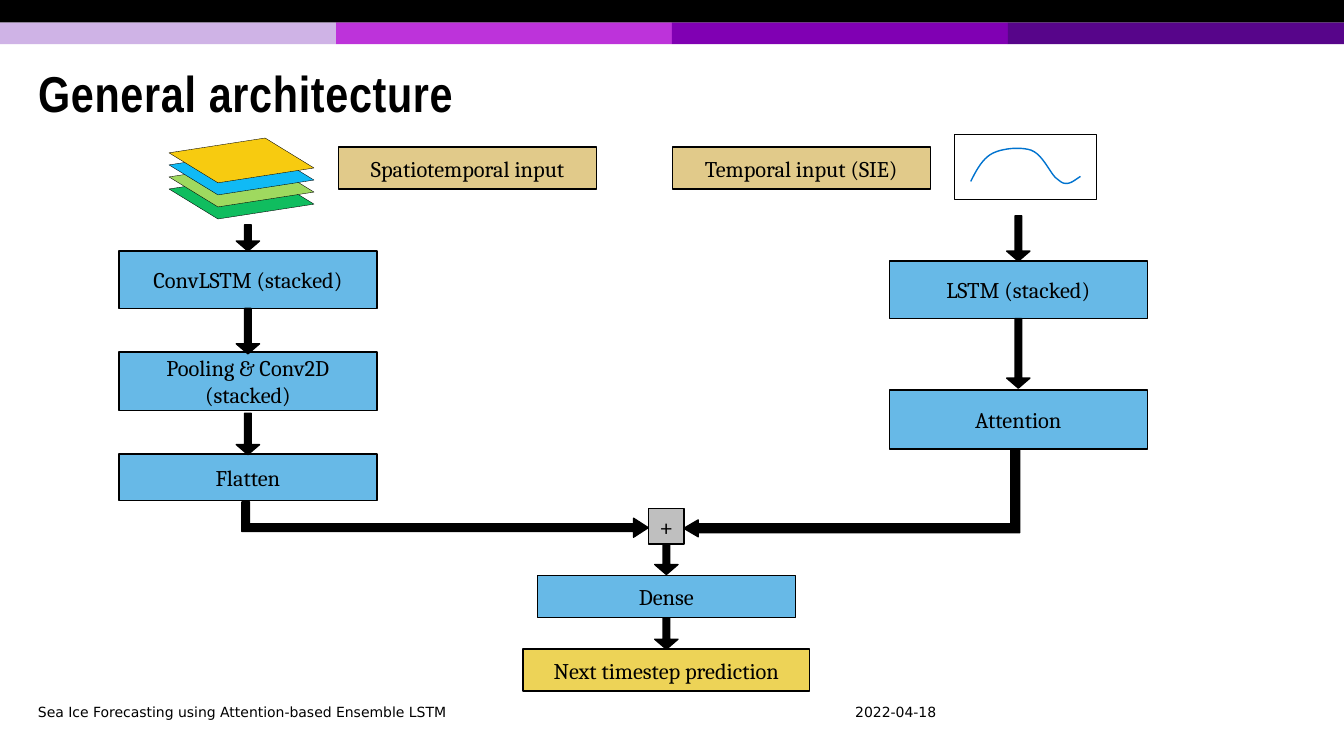
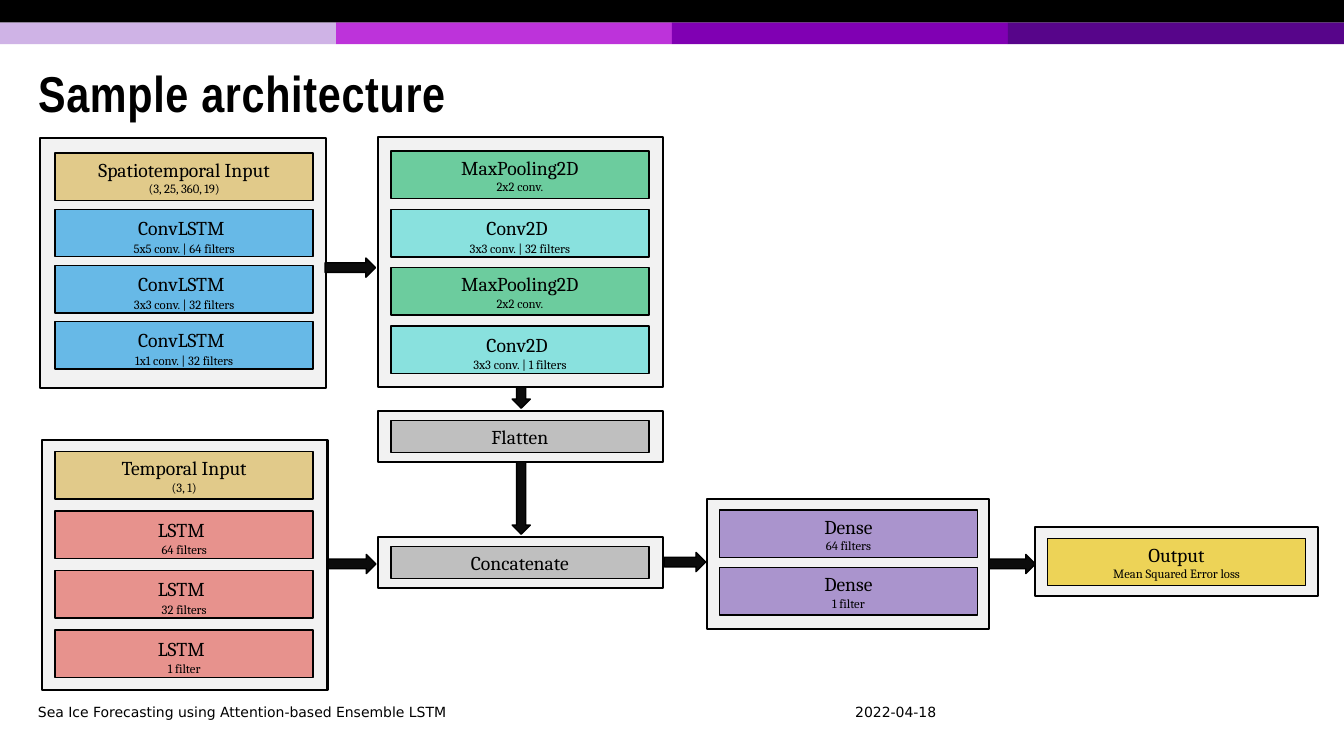
from pptx import Presentation
from pptx.dml.color import RGBColor as RGB
from pptx.enum.shapes import MSO_SHAPE as SHAPE
from pptx.enum.text import MSO_ANCHOR as ANCHOR, MSO_AUTO_SIZE as AUTO, PP_ALIGN as ALIGN
from pptx.oxml.ns import qn
from pptx.util import Pt

HUES = {
    "black": "000000", "ink": "0C0C0C", "white": "FFFFFF", "panel": "F2F2F2",
    "lilac": "CFB3E6", "pink": "BD33DA", "purple": "8000B3", "plum": "57058A",
    "blue": "67B9E7", "tan": "E1CA8A", "yellow": "EDD357", "gray": "BFBFBF",
    "green": "6CCC9E", "aqua": "89E1DE", "red": "E7928D", "violet": "AA94CD",
    "curve": "0073CF", "leaf": "10BD5F", "lime": "9FD95F", "sky": "10BAF5",
    "gold": "F7CB10",
}
FONTS = {
    "title": {"name": "Arial Narrow", "size": Pt(36), "bold": True},
    "foot": {"name": "DejaVu Sans", "size": Pt(10)},
    "box": {"name": "Cambria", "size": Pt(16)},
    "plus": {"name": "Cambria", "size": Pt(18)},
    "head": {"name": "Cambria", "size": Pt(14)},
    "note": {"name": "Cambria", "size": Pt(9)},
}
WIDE, HIGH = 960, 540
BOX_W, ROW_H = 184.3, 33.9


def hue(name):
    return RGB.from_string(HUES[name])


def apply(item, form):
    for key, value in form.items():
        setattr(item, key, value)


def bezier(start, curves, count=10):
    """Yield points along a chain of cubic curves."""
    for a, b, end in curves:
        for n in range(1, count + 1):
            t = n / count
            u = 1 - t
            yield tuple(u**3 * p + 3 * u * u * t * q + 3 * u * t * t * r + t**3 * s
                        for p, q, r, s in zip(start, a, b, end))
        start = end


class Deck:
    def __init__(self):
        self.prs = Presentation()
        apply(self.prs, {"slide_width": Pt(WIDE), "slide_height": Pt(HIGH)})
        self.plan = self.prs.slide_layouts[5]
        self.slide = None

    def page(self, title):
        self.slide = self.prs.slides.add_slide(self.plan)
        if len(self.prs.slides) == 1:
            self.bands()
        head = self.slide.shapes.title
        apply(head, {"left": Pt(20), "top": Pt(34), "width": Pt(911), "height": Pt(70.5)})
        apply(head.text_frame, {"auto_size": AUTO.NONE, "vertical_anchor": ANCHOR.MIDDLE})
        par = head.text_frame.paragraphs[0]
        apply(par, {"alignment": ALIGN.LEFT, "line_spacing": 0.85})
        self.run(par, title, "title").font._element.set("spc", "50")
        self.label(20, 412, "Sea Ice Forecasting using Attention-based Ensemble LSTM", ALIGN.LEFT)
        self.label(593.3, 93, "2022-04-18", ALIGN.CENTER)

    def bands(self):
        """Put the top bands on the layout, so that every slide shows them."""
        width = WIDE / 4
        bars = [self.shape(SHAPE.RECTANGLE, i * width, 16, width, 15.5, name, None)
                for i, name in enumerate(("lilac", "pink", "purple", "plum"))]
        bars.append(self.shape(SHAPE.RECTANGLE, 0, 0, WIDE, 16, "black", None))
        for i, bar in enumerate(bars):
            bar.element.nvSpPr.cNvPr.set("id", str(100 + i))
            self.plan.shapes.element.insert(2 + i, bar.element)

    def run(self, par, text, font):
        run = par.add_run()
        run.text = text
        apply(run.font, FONTS[font])
        run.font.color.rgb = hue("black")
        return run

    def label(self, x, w, text, align):
        frame = self.slide.shapes.add_textbox(Pt(x), Pt(499), Pt(w), Pt(19.4)).text_frame
        apply(frame, {"word_wrap": True, "vertical_anchor": ANCHOR.MIDDLE})
        frame.paragraphs[0].alignment = align
        self.run(frame.paragraphs[0], text, "foot")

    def paint(self, shape, fill, line=1, edge="black"):
        shape.shadow.inherit = False
        if fill:
            shape.fill.solid()
            shape.fill.fore_color.rgb = hue(fill)
        else:
            shape.fill.background()
        if line:
            shape.line.width = Pt(line)
            shape.line.color.rgb = hue(edge)
        else:
            shape.line.fill.background()
        return shape

    def shape(self, kind, x, y, w, h, fill, line=1):
        form = self.slide.shapes.add_shape(kind, Pt(x), Pt(y), Pt(w), Pt(h))
        return self.paint(form, fill, line)

    def box(self, x, y, w, h, fill, lines, fonts=("box", "box"), tall=False):
        """Draw a box with text; tall gives its first line more height."""
        frame = self.shape(SHAPE.RECTANGLE, x, y, w, h, fill).text_frame
        apply(frame, {"word_wrap": True, "vertical_anchor": ANCHOR.MIDDLE})
        for i, (text, font) in enumerate(zip(lines, fonts)):
            par = frame.add_paragraph() if i else frame.paragraphs[0]
            par.alignment = ALIGN.CENTER
            self.run(par, text, font)
            if tall and i == 0:
                self.run(par, " ", "plus")

    def panel(self, x, y, w, h, top, step, rows, left=13, high=ROW_H):
        self.shape(SHAPE.RECTANGLE, x, y, w, h, "panel", 1.5)
        for i, (fill, *lines) in enumerate(rows):
            tall = lines[0] in ("ConvLSTM", "Conv2D", "LSTM")
            self.box(x + left, top + i * step, BOX_W, high, fill, lines, ("head", "note"), tall)

    def down(self, mid, y, h):
        arrow = self.shape(SHAPE.DOWN_ARROW, mid - 8.3, y, 16.6, h, "black")
        arrow.adjustments[0], arrow.adjustments[1] = 0.28, 0.43

    def bent(self, x, y, w, h, turn, adjust, flip=False):
        """Fit a bent arrow, turned by a quarter, into the box that it fills."""
        arrow = self.shape(SHAPE.BENT_UP_ARROW, x + (w - h) / 2, y + (h - w) / 2, h, w, "black")
        arrow.rotation = turn
        for i, value in enumerate(adjust):
            arrow.adjustments[i] = value
        if flip:
            arrow.element.spPr.find(qn("a:xfrm")).set("flipH", "1")

    def line(self, points, fill=None, close=False, width=1, edge="black"):
        first, *rest = [(Pt(x), Pt(y)) for x, y in points]
        pen = self.slide.shapes.build_freeform(*first, scale=1.0)
        pen.add_line_segments(rest, close=close)
        self.paint(pen.convert_to_shape(), fill, width, edge)


def general(deck):
    deck.page("General architecture")
    left, mid, right = 177.1, 476, 727.4
    for x, y, h, fill, *lines in (
        (left, 179.3, 41, "blue", "ConvLSTM (stacked)"),
        (left, 251.3, 42.1, "blue", "Pooling & Conv2D", "(stacked)"),
        (left, 324.4, 33, "blue", "Flatten"),
        (right, 186.5, 41, "blue", "LSTM (stacked)"),
        (right, 278.6, 42.1, "blue", "Attention"),
        (mid, 411.1, 30, "blue", "Dense"),
        (334.1, 105.1, 30, "tan", "Spatiotemporal input"),
        (572.4, 105.1, 30, "tan", "Temporal input (SIE)"),
    ):
        deck.box(x - BOX_W / 2, y, BOX_W, h, fill, lines)
    deck.box(mid - 102.3, 463.7, 204.6, 30, "yellow", ["Next timestep prediction"])

    for i, fill in enumerate(("leaf", "lime", "sky", "gold")):
        rise = 8.6 * (3 - i)
        deck.line([(x, y + rise) for x, y in
                   ((120.7, 109.2), (189.4, 98.6), (224.3, 120), (155.7, 130.6))],
                  fill, True, 0.25)

    deck.shape(SHAPE.RECTANGLE, 681.8, 96.2, 101.5, 46.2, "white")
    start = (693.4, 129.6)
    curves = (
        ((697.7, 121), (702, 113), (709.2, 109.4)),
        ((716.4, 105.8), (729.4, 104.8), (736.6, 107.3)),
        ((744.5, 110.2), (749.5, 122.4), (753.8, 126.7)),
        ((758.2, 130.3), (758.9, 131), (761.8, 131)),
        ((765.4, 131), (768.2, 128.2), (771.8, 126)),
    )
    deck.line([start, *bezier(start, curves)], edge="curve")

    deck.bent(172.8, 358.5, 290.2, 25.2, 90, (0.215, 0.268, 0.416))
    deck.bent(488.5, 321.5, 239.8, 61.9, 270, (0.102, 0.097, 0.166), True)
    deck.box(mid - 12.7, 363.2, 25.4, 25.4, "gray", ["+"], ["plus"])
    for x, y, h in ((left, 160.6, 18.7), (left, 220.3, 32.4), (left, 295.2, 29.5),
                    (right, 154.1, 32.4), (right, 227.5, 49.7),
                    (mid, 388.8, 21.6), (mid, 441.4, 22.3)):
        deck.down(x, y, h)


def sample(deck):
    deck.page("Sample architecture")
    pool = ("green", "MaxPooling2D", "2x2 conv.")
    deck.panel(28.8, 98.6, 203.8, 178.6, 109.4, 40.1, [
        ("tan", "Spatiotemporal Input", "(3, 25, 360, 19)"),
        ("blue", "ConvLSTM", "5x5 conv. | 64 filters"),
        ("blue", "ConvLSTM", "3x3 conv. | 32 filters"),
        ("blue", "ConvLSTM", "1x1 conv. | 32 filters")], 10.6)
    deck.panel(270, 97.9, 203.8, 178.6, 108, 41.6, [
        pool, ("aqua", "Conv2D", "3x3 conv. | 32 filters"),
        pool, ("aqua", "Conv2D", "3x3 conv. | 1 filters")], 9.2)
    deck.panel(30.2, 314.6, 203.8, 178.6, 322.5, 42.5, [
        ("tan", "Temporal Input", "(3, 1)"),
        ("red", "LSTM", "64 filters"),
        ("red", "LSTM", "32 filters"),
        ("red", "LSTM", "1 filter")], 9.2)
    for y, text in ((293.8, "Flatten"), (383.8, "Concatenate")):
        deck.panel(270, y, 203.8, 36, y + 6.5, 0, [("gray", text)], 9.2, 23)
    deck.panel(504.7, 356.4, 201.8, 92.9, 364.4, 41, [
        ("violet", "Dense", "64 filters"), ("violet", "Dense", "1 filter")], 9.2)
    deck.panel(739.4, 376.6, 201.8, 49, 384.5, 0, [
        ("yellow", "Output", "Mean Squared Error loss")], 8.8)

    for x, y, w in ((232.2, 184.3, 36), (234.7, 396, 33.8),
                    (474.5, 394.6, 29.5), (706.5, 396, 33.1)):
        deck.shape(SHAPE.RIGHT_ARROW, x, y, w, 13.7, "ink")
    for y, h in ((276.5, 15.1), (329.8, 51.8)):
        deck.shape(SHAPE.DOWN_ARROW, 365.8, y, 13, h, "ink")


def main():
    deck = Deck()
    general(deck)
    sample(deck)
    deck.prs.save("out.pptx")


if __name__ == "__main__":
    main()
